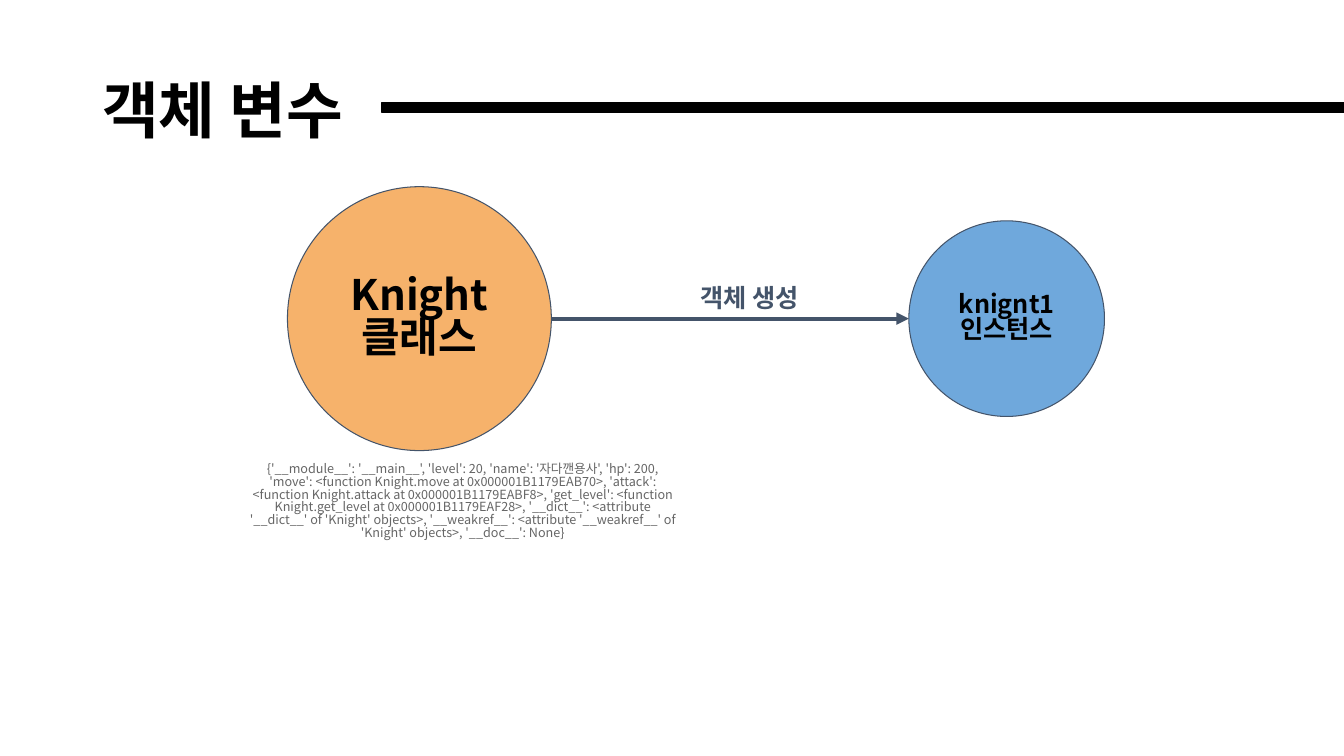
"""Build the slide on object variables: a class creating an instance."""
import pptx
import pptx.util
import pptx.dml.color
import pptx.enum.shapes
import pptx.enum.text
import pptx.oxml.ns
import lxml.etree
from dataclasses import dataclass

TITLE = "객체 변수"
ARROW_LABEL = "객체 생성"
CLASS_DICTIONARY = (
    "{'__module__': '__main__', 'level': 20, 'name': '자다깬용사', 'hp': 200, "
    "'move': <function Knight.move at 0x000001B1179EAB70>, "
    "'attack': <function Knight.attack at 0x000001B1179EABF8>, "
    "'get_level': <function Knight.get_level at 0x000001B1179EAF28>, "
    "'__dict__': <attribute '__dict__' of 'Knight' objects>, "
    "'__weakref__': <attribute '__weakref__' of 'Knight' objects>, "
    "'__doc__': None}"
)
CLASS_CIRCLE = {"text": "Knight\n클래스", "center": 10.57, "diameter": 6.65}
INSTANCE_CIRCLE = {"text": "knignt1\n인스턴스", "center": 25.37, "diameter": 4.93}


@dataclass(frozen=True)
class Theme:
    font: str = "Noto Sans CJK KR"
    black: str = "000000"
    slate: str = "44546A"
    grey: str = "666666"
    orange: str = "F6B26B"
    blue: str = "6FA8DC"
    title_size: int = 44
    class_size: int = 30
    label_size: int = 18
    detail_size: int = 9
    title_spacing: float = 0.9
    body_spacing: float = 0.84


THEME = Theme()
Cm = pptx.util.Cm
ANCHOR = pptx.enum.text.MSO_ANCHOR
ALIGN = pptx.enum.text.PP_ALIGN
SHAPE = pptx.enum.shapes.MSO_SHAPE
SLIDE_WIDTH, SLIDE_HEIGHT = 33.87, 19.05
AXIS = 8.03
BAR_TOP, BAR_HEIGHT = 2.59, 0.25
BAR_SPANS = [(19.61, SLIDE_WIDTH), (9.63, 28.96)]


def color(value):
    return pptx.dml.color.RGBColor.from_string(value)


def write_text(shape, text, size, ink=THEME.black, bold=True, align=ALIGN.CENTER,
               anchor=ANCHOR.TOP, spacing=THEME.body_spacing):
    frame = shape.text_frame
    frame.word_wrap = True
    frame.vertical_anchor = anchor
    frame.margin_left = frame.margin_right = Cm(0.25)
    frame.margin_top = frame.margin_bottom = Cm(0.25)
    paragraph = frame.paragraphs[0]
    paragraph.text = text
    paragraph.alignment = align
    paragraph.line_spacing = spacing
    for run in paragraph.runs:
        run.font.name = THEME.font
        run.font.size = pptx.util.Pt(size)
        run.font.bold = bold
        run.font.color.rgb = color(ink)
        east_asian = lxml.etree.SubElement(run.font._element, pptx.oxml.ns.qn("a:ea"))
        east_asian.set("typeface", THEME.font)


def add_text(slide, box, text, size, **text_format):
    shape = slide.shapes.add_textbox(*map(Cm, box))
    write_text(shape, text, size, **text_format)


def add_filled(slide, kind, box, fill, line, line_width):
    shape = slide.shapes.add_shape(kind, *map(Cm, box))
    shape.shadow.inherit = False
    shape.fill.solid()
    shape.fill.fore_color.rgb = color(fill)
    shape.line.color.rgb = color(line)
    shape.line.width = pptx.util.Pt(line_width)
    return shape


def add_circle(slide, circle, fill, size):
    diameter = circle["diameter"]
    box = (circle["center"] - diameter / 2, AXIS - diameter / 2, diameter, diameter)
    shape = add_filled(slide, SHAPE.OVAL, box, fill, THEME.slate, 0.75)
    write_text(shape, circle["text"], size, anchor=ANCHOR.MIDDLE)


def add_arrow(slide, start, end):
    arrow = slide.shapes.add_connector(
        pptx.enum.shapes.MSO_CONNECTOR.STRAIGHT, Cm(start), Cm(AXIS), Cm(end), Cm(AXIS))
    arrow.line.color.rgb = color(THEME.slate)
    arrow.line.width = pptx.util.Pt(3)
    line = arrow.line._get_or_add_ln()
    lxml.etree.SubElement(line, pptx.oxml.ns.qn("a:tailEnd"), type="triangle")
    lxml.etree.SubElement(arrow._element.spPr, pptx.oxml.ns.qn("a:effectLst"))


def main():
    presentation = pptx.Presentation()
    presentation.slide_width = Cm(SLIDE_WIDTH)
    presentation.slide_height = Cm(SLIDE_HEIGHT)
    slide = presentation.slides.add_slide(presentation.slide_layouts[6])

    add_text(slide, (2.33, 1.01, 29.21, 3.68), TITLE, THEME.title_size,
             align=ALIGN.LEFT, anchor=ANCHOR.MIDDLE, spacing=THEME.title_spacing)
    for left, right in BAR_SPANS:
        add_filled(slide, SHAPE.RECTANGLE, (left, BAR_TOP, right - left, BAR_HEIGHT),
                   THEME.black, THEME.black, 1)

    add_circle(slide, CLASS_CIRCLE, THEME.orange, THEME.class_size)
    add_circle(slide, INSTANCE_CIRCLE, THEME.blue, THEME.label_size)
    add_text(slide, (6.02, 11.43, 11.28, 3.05), CLASS_DICTIONARY, THEME.detail_size,
             ink=THEME.grey, bold=False)
    add_arrow(slide, CLASS_CIRCLE["center"] + CLASS_CIRCLE["diameter"] / 2,
              INSTANCE_CIRCLE["center"] - INSTANCE_CIRCLE["diameter"] / 2)
    add_text(slide, (16.43, 6.99, 4.93, 1.17), ARROW_LABEL, THEME.label_size,
             ink=THEME.slate)

    presentation.save("out.pptx")


if __name__ == "__main__":
    main()
